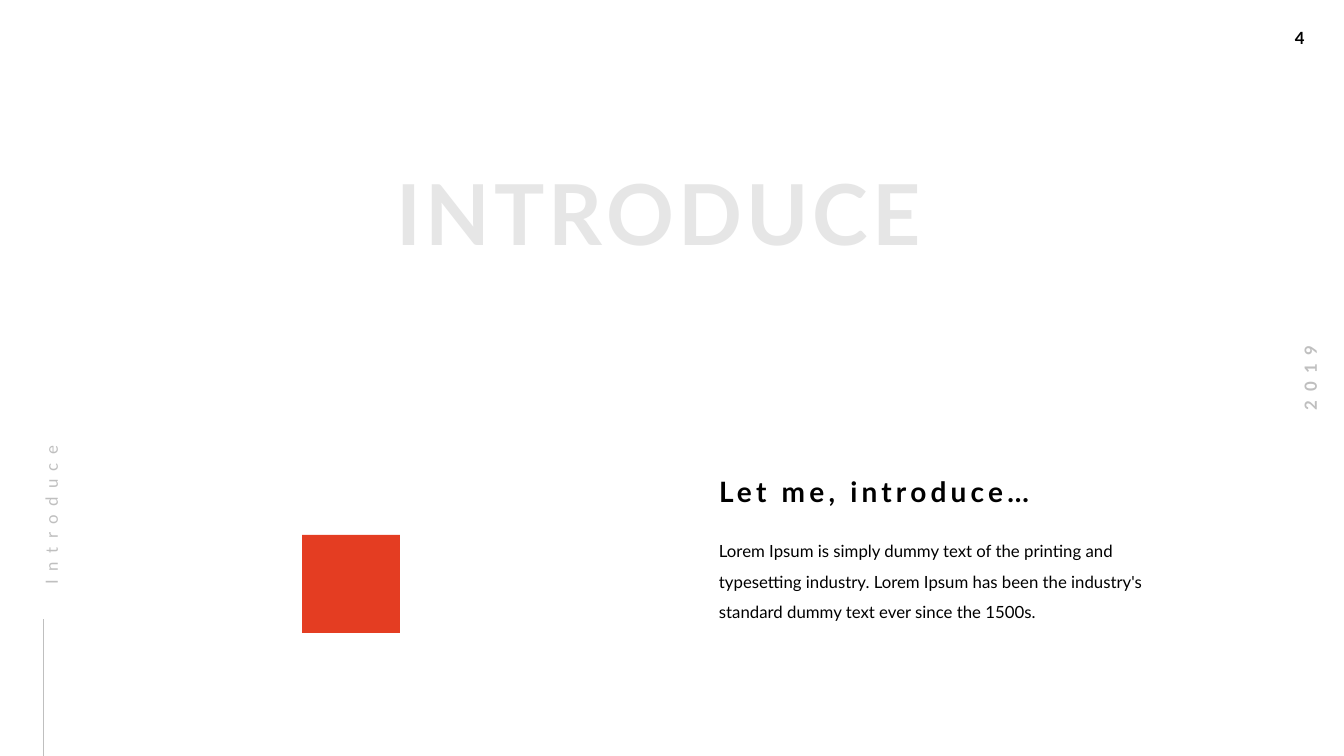
from pptx import Presentation
from pptx.dml.color import RGBColor
from pptx.enum.shapes import MSO_CONNECTOR, MSO_SHAPE
from pptx.enum.text import MSO_ANCHOR, MSO_AUTO_SIZE, PP_ALIGN
from pptx.oxml.ns import qn
from pptx.util import Pt
from lxml.etree import SubElement

HUES = {"ink": "000000", "ghost": "E6E6E6", "mute": "BFBFBF", "accent": "E43D22"}


def px(num):
    return round(num * 914400 / 100.8)


def hue(name):
    return RGBColor.from_string(HUES[name])


def write(box, text, size, tint, bold=False, gap=0,
          align=PP_ALIGN.LEFT, lead=1.0):
    """Fill a box with one paragraph; gap is letter spacing in points."""
    frame = box.text_frame
    frame.word_wrap = True
    frame.auto_size = MSO_AUTO_SIZE.NONE
    frame.vertical_anchor = MSO_ANCHOR.TOP
    frame.margin_left = frame.margin_right = 0
    frame.margin_top = frame.margin_bottom = 0
    para = frame.paragraphs[0]
    para.alignment = align
    para.line_spacing = lead
    run = para.add_run()
    run.text = text
    run.font.size = Pt(size)
    run.font.name = "Lato"
    run.font.bold = bold
    run.font.color.rgb = hue(tint)
    if gap:
        run.font._element.set("spc", str(gap * 100))


def add_text(slide, area, text, size, tint, turn=0, **style):
    box = slide.shapes.add_textbox(*map(px, area))
    box.rotation = turn
    write(box, text, size, tint, **style)


def set_title(slide, area, text):
    title = slide.shapes.title
    title.left, title.top, title.width, title.height = map(px, area)
    write(title, text, 60, "ghost", bold=True, gap=3, align=PP_ALIGN.CENTER)


def add_square(slide, left, top, side):
    square = slide.shapes.add_shape(
        MSO_SHAPE.RECTANGLE, px(left), px(top), px(side), px(side))
    square.shadow.inherit = False
    square.fill.solid()
    square.fill.fore_color.rgb = hue("accent")
    square.line.fill.background()


def add_rule(slide, *ends):
    rule = slide.shapes.add_connector(MSO_CONNECTOR.STRAIGHT, *map(px, ends))
    rule.line.color.rgb = hue("mute")
    rule.line.width = Pt(0.5)
    SubElement(rule._element.spPr, qn("a:effectLst"))


def main():
    deck = Presentation()
    deck.slide_width, deck.slide_height = px(1344), px(756)
    slide = deck.slides.add_slide(deck.slide_layouts[5])

    set_title(slide, (319, 161, 680, 101), "INTRODUCE")
    add_text(slide, (1295, 28, 30, 20), "4", 12, "ink", bold=True)
    add_text(slide, (1263, 368, 94, 20), "2019", 12, "mute", turn=270,
             bold=True, gap=6, align=PP_ALIGN.CENTER)

    add_rule(slide, 43, 756, 43, 619)
    add_text(slide, (-49, 478, 186, 26), "Introduce", 12, "mute", turn=270,
             gap=6, lead=1.5)

    add_square(slide, 302, 535, 98)
    add_text(slide, (719, 531, 427, 88),
             "Lorem Ipsum is simply dummy text of the printing and typesetting "
             "industry. Lorem Ipsum has been the industry's standard dummy "
             "text ever since the 1500s.", 12, "ink", lead=1.5)
    add_text(slide, (719, 474, 353, 34), "Let me, introduce…", 20, "ink",
             bold=True, gap=3)

    deck.save("out.pptx")


if __name__ == "__main__":
    main()
